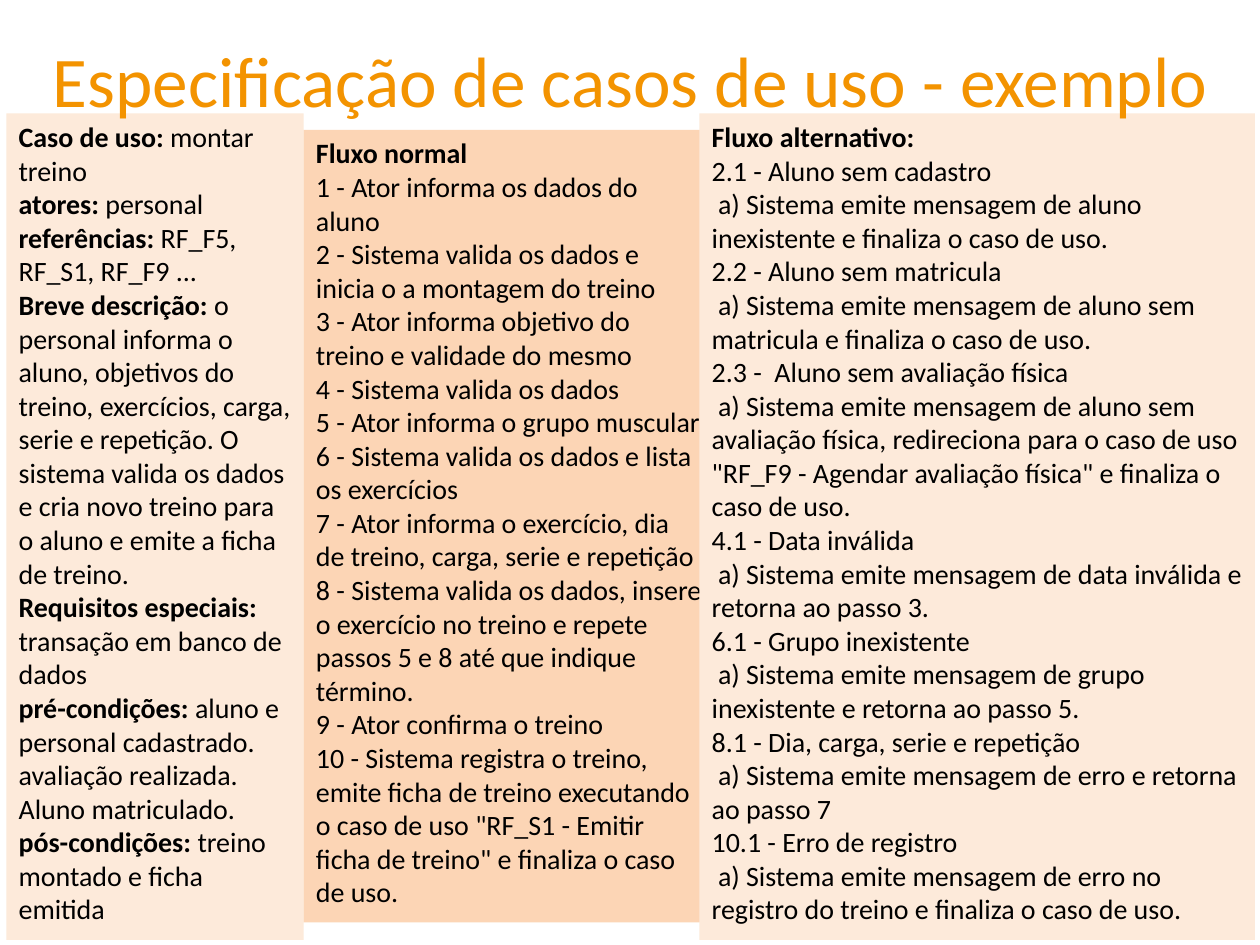
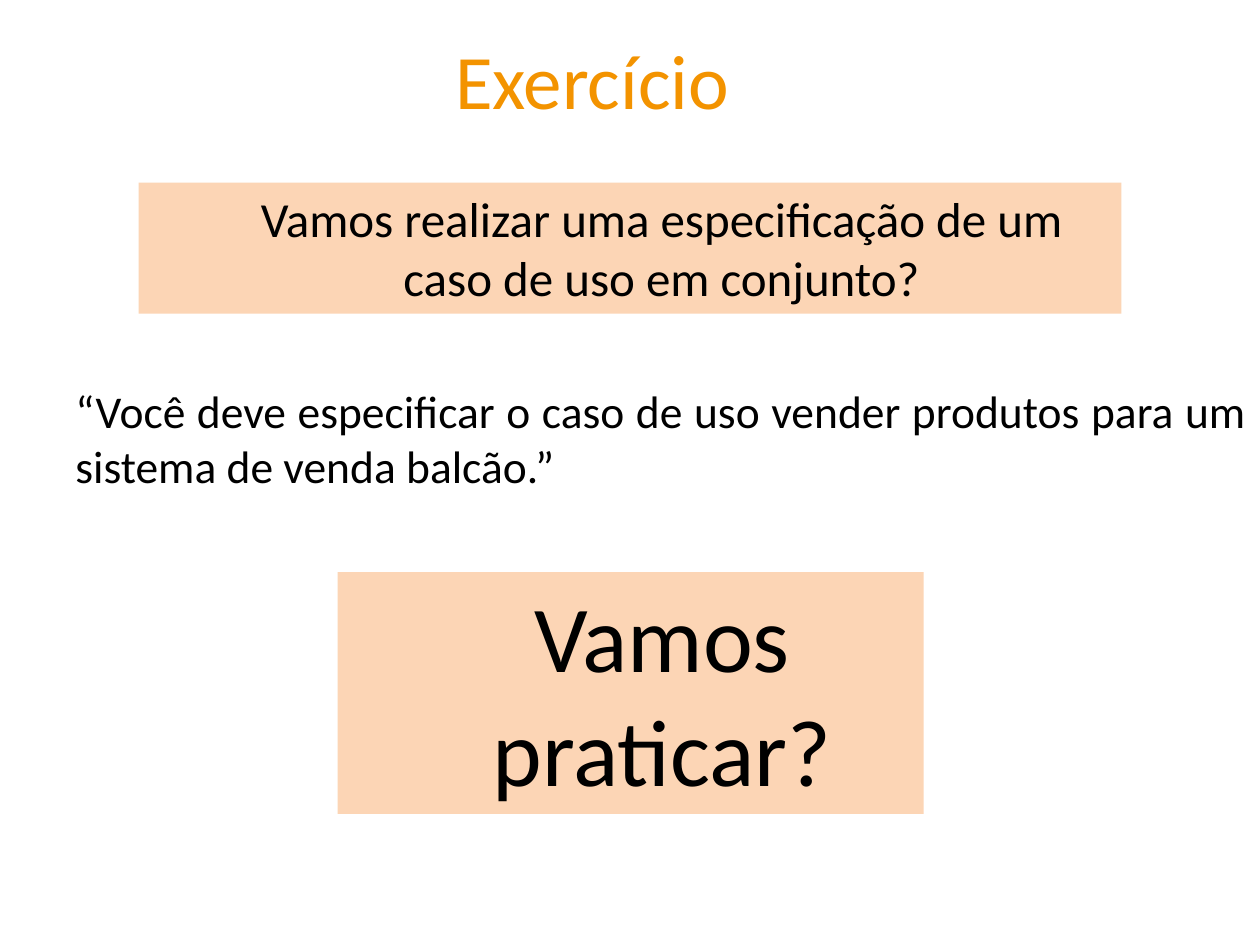
from pptx import Presentation, util as u
from pptx.dml.color import RGBColor
from pptx.enum import text

# Content: each paragraph is (bold part, plain part)
CASE = [
    ("Caso de uso: ", "montar treino"),
    ("atores: ", "personal"),
    ("referências: ", "RF_F5, RF_S1, RF_F9 ..."),
    ("Breve descrição: ", "o personal informa o aluno, objetivos do treino, "
     "exercícios, carga, serie e repetição. O sistema valida os dados e cria "
     "novo treino para o aluno e emite a ficha de treino."),
    ("Requisitos especiais: ", "transação em banco de dados"),
    ("pré-condições: ", "aluno e personal cadastrado. avaliação realizada. "
     "Aluno matriculado."),
    ("pós-condições: ", "treino montado e ficha emitida"),
]
STEPS = [
    "Ator informa os dados do aluno",
    "Sistema valida os dados e inicia o a montagem do treino",
    "Ator informa objetivo do treino e validade do mesmo",
    "Sistema valida os dados",
    "Ator informa o grupo muscular",
    "Sistema valida os dados e lista os exercícios",
    "Ator informa o exercício, dia de treino, carga, serie e repetição",
    "Sistema valida os dados, insere o exercício no treino e repete passos "
    "5 e 8 até que indique término.",
    "Ator confirma o treino",
    "Sistema registra o treino, emite ficha de treino executando o caso de "
    "uso \"RF_S1 - Emitir ficha de treino\" e finaliza o caso de uso.",
]
# Alternative flow: heading, then what the system's message says
OTHER = [
    ("2.1 - Aluno sem cadastro",
     "aluno inexistente e finaliza o caso de uso."),
    ("2.2 - Aluno sem matricula",
     "aluno sem matricula e finaliza o caso de uso."),
    ("2.3 -  Aluno sem avaliação física",
     "aluno sem avaliação física, redireciona para o caso de uso "
     "\"RF_F9 - Agendar avaliação física\" e finaliza o caso de uso."),
    ("4.1 - Data inválida", "data inválida e retorna ao passo 3."),
    ("6.1 - Grupo inexistente", "grupo inexistente e retorna ao passo 5."),
    ("8.1 - Dia, carga, serie e repetição", "erro e retorna ao passo 7"),
    ("10.1 - Erro de registro",
     "erro no registro do treino e finaliza o caso de uso."),
]
ASK = "Vamos realizar uma especificação de um caso de uso em conjunto?"
TASK = ("“Você deve especificar o caso de uso vender produtos para um "
        "sistema de venda balcão.”")
CALL = "Vamos praticar?"

# Shared style
FACE = "Calibri"
GOLD = RGBColor(0xF3, 0x93, 0x00)
BLACK = RGBColor(0, 0, 0)
PALE = RGBColor(0xFD, 0xEA, 0xDA)
PEACH = RGBColor(0xFC, 0xD5, 0xB5)
MID = text.PP_ALIGN.CENTER
FULL = text.PP_ALIGN.JUSTIFY
FIT = text.MSO_AUTO_SIZE


def put(obj, **vals):
    for key, val in vals.items():
        setattr(obj, key, val)


def place(shape, box):
    put(shape, **dict(zip(("left", "top", "width", "height"),
                          map(u.Inches, box))))


def ink(font, size, color=BLACK, bold=False):
    put(font, name=FACE, size=u.Pt(size), bold=bold)
    font.color.rgb = color


def panel(slide, box, paras, size, fill=None, align=None, left=0):
    """Add a text box; sub-items "a)" get a slight first-line indent."""
    shape = slide.shapes.add_textbox(*map(u.Inches, box))
    frame = shape.text_frame
    put(frame, word_wrap=True, auto_size=FIT.NONE)
    if fill:
        shape.fill.solid()
        shape.fill.fore_color.rgb = fill
        frame.auto_size = FIT.SHAPE_TO_FIT_TEXT
    for i, (head, body) in enumerate(paras):
        par = frame.add_paragraph() if i else frame.paragraphs[0]
        par.alignment = align
        props = par._p.get_or_add_pPr()
        props.set("marL", str(u.Inches(left)))
        props.set("indent", str(u.Inches(0.05 if body[:2] == "a)" else 0)))
        for part, bold in ((head, True), (body, False)):
            if part:
                run = par.add_run()
                run.text = part
                ink(run.font, size, bold=bold)


def add_title(slide, words, box, size):
    title = slide.shapes.title
    place(title, box)
    frame = title.text_frame
    put(frame, text=words, word_wrap=True, auto_size=FIT.NONE,
        vertical_anchor=text.MSO_ANCHOR.MIDDLE)
    par = frame.paragraphs[0]
    par.alignment = MID
    ink(par.runs[0].font, size, GOLD)
    # Bring the title in front of the panels
    title.element.getparent().append(title.element)


def main():
    deck = Presentation()
    put(deck, slide_width=u.Inches(10), slide_height=u.Inches(7.5))
    plain = deck.slide_layouts[5]

    # Use case example: three columns
    flow = [("Fluxo normal", "")]
    flow += [("", f"{n} - {step}") for n, step in enumerate(STEPS, 1)]
    alt = [("Fluxo alternativo:", "")]
    for head, end in OTHER:
        alt += [("", head), ("", "a) Sistema emite mensagem de " + end)]
    slide = deck.slides.add_slide(plain)
    for box, paras, fill in (
            ((0.05, 0.9, 2.36, 6.56), CASE, PALE),
            ((2.41, 1.03, 3.27, 6.29), flow, PEACH),
            ((5.55, 0.9, 4.41, 6.56), alt, PALE)):
        panel(slide, box, paras, 16, fill)
    add_title(slide, "Especificação de casos de uso - exemplo",
              (0, 0, 10, 1.25), 40.7)

    # Exercise: question, task and call
    slide = deck.slides.add_slide(plain)
    for box, words, size, fill, align in (
            ((0, 2.99, 10, 4.51), TASK, 26, None, FULL),
            ((2.68, 4.54, 4.65, 1.92), CALL, 54, PEACH, MID),
            ((1.1, 1.45, 7.8, 1.04), ASK, 28, PEACH, MID)):
        panel(slide, box, [("", words)], size, fill, align, 0.5)
    add_title(slide, "Exercício", (0.2, 0, 9, 1.25), 44)

    deck.save("out.pptx")


if __name__ == "__main__":
    main()
